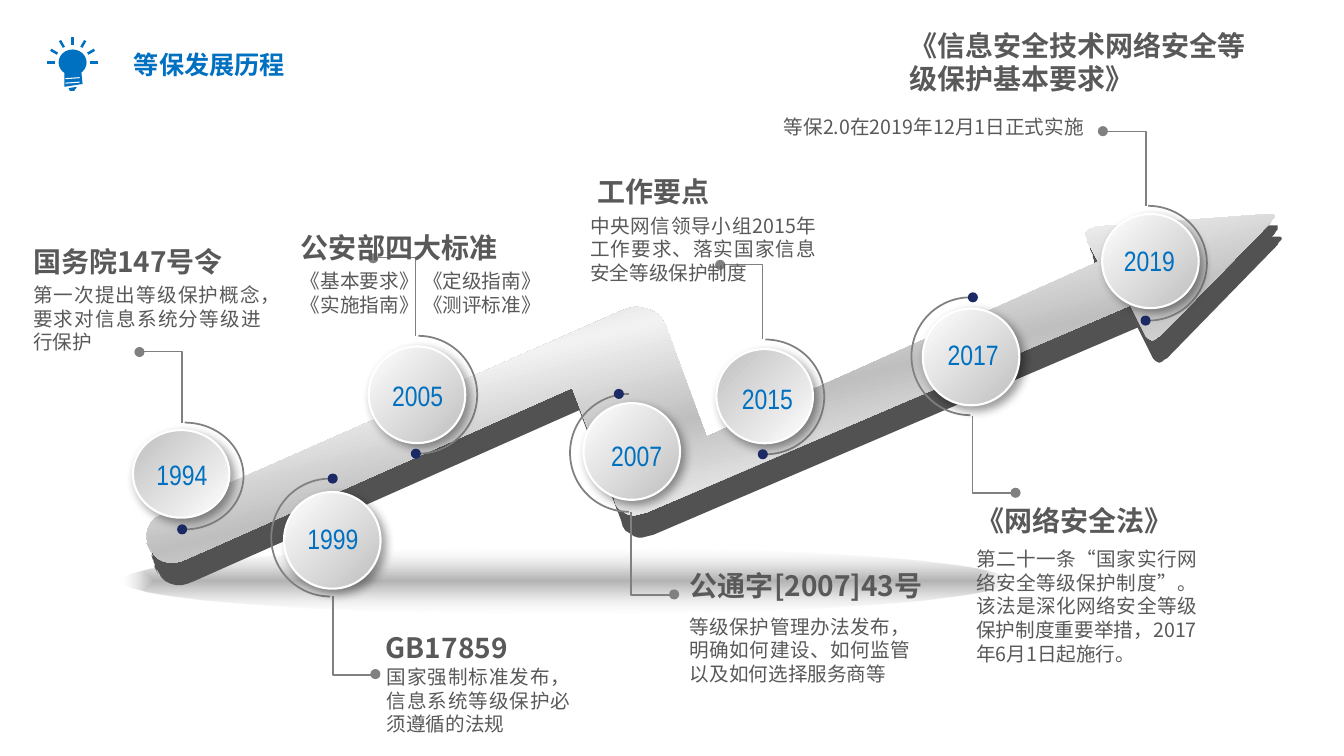
from collections import namedtuple
from math import cos, radians, sin

from pptx import Presentation
from pptx.dml.color import RGBColor
from pptx.enum.shapes import MSO_CONNECTOR, MSO_SHAPE
from pptx.enum.text import PP_ALIGN
from pptx.oxml import parse_xml
from pptx.oxml.ns import qn
from pptx.util import Pt

NS = 'xmlns:a="http://schemas.openxmlformats.org/drawingml/2006/main"'
COLORS = {"blue": "0070C0", "text": "595959", "line": "808080", "navy": "1B2965",
          "side": "525252", "white": "FFFFFF", "silver": "BFBFBF", "pale": "F2F2F2",
          "black": "000000"}
CJK, NARROW = "Noto Sans CJK SC", "Arial Narrow"
RING_W, DISC_RATIO, ELBOW_W, DOT = 84.2, 0.82, 30.5, 7.2

# side "up": ring on the right, stem upwards; "down": ring on the left, stem downwards
Milestone = namedtuple("Milestone", "year side ring disc label ring_h stem dot_dx angle")
MILESTONES = [
    Milestone("2005", "up", (299, 282), (298, 282), (298.5, 283), 84.2, 55.4, 0, 225),
    Milestone("2007", "down", (449.5, 323.5), (451.5, 322.5), (455, 326), 84.2, 59, -9, 225),
    Milestone("1994", "up", (132, 340), (129.5, 338.5), (130, 339), 76.3, 50.4, 0, 45),
    Milestone("2015", "up", (547, 283.5), (546.5, 283), (548.5, 285), 82, 53.3, 0, 45),
    Milestone("2017", "down", (693.5, 254.5), (694, 255), (695.5, 253.5), 84.2, 55.4, 0, 225),
    Milestone("1999", "down", (236, 384), (237.5, 386), (238, 385), 84.2, 55.4, 0, 225),
    Milestone("2019", "up", (820.5, 188), (822.2, 186.5), (821.5, 186.5), 82, 53.3, 0, 225),
]

# heading, its box (x, y, w, h), body paragraphs, their box
CAPTIONS = [
    ("国务院147号令", (16.6, 171.4, 177, 32),
     ["第一次提出等级保护概念，要求对信息系统分等级进行保护"], (16.6, 198.7, 177, 58)),
    ("公安部四大标准", (208, 161.3, 218, 32),
     ["《基本要求》 《定级指南》", "《实施指南》 《测评标准》"], (208, 188.6, 230, 41)),
    ("工作要点", (419.8, 121, 176, 32),
     ["中央网信领导小组2015年工作要求、落实国家信息安全等级保护制度"],
     (414.7, 149, 175.7, 58)),
    ("公通字[2007]43号", (486, 402.5, 191, 32),
     ["等级保护管理办法发布，明确如何建设、如何监管以及如何选择服务商等"],
     (486, 435.6, 171.4, 58)),
    ("《网络安全法》", (690.5, 356.4, 173, 32),
     ["第二十一条“国家实行网络安全等级保护制度”。该法是深化网络安全等级保护制度重要举措，"
      "2017年6月1日起施行。"], (690.5, 387.4, 172, 94)),
    ("GB17859", (268.6, 447, 134, 32),
     ["国家强制标准发布，信息系统等级保护必须遵循的法规"], (269.3, 471.6, 145.4, 75)),
]

# corner x, y and rounding radius
ARROW = [(99, 374, 22), (468, 212, 26), (505, 312, 0), (785, 187, 0), (773, 163, 10),
         (915, 152, 10), (822, 247, 10), (808, 218, 0), (445, 373, 18), (409, 277, 0),
         (114, 408, 22)]


def rgb(name):
    return RGBColor.from_string(COLORS[name])


def paint(sp, fill=None, line=None, width=1.25):
    sp.shadow.inherit = False
    if fill:
        sp.fill.solid()
        sp.fill.fore_color.rgb = rgb(fill)
    else:
        sp.fill.background()
    if line:
        sp.line.color.rgb = rgb(line)
        sp.line.width = Pt(width)
    else:
        sp.line.fill.background()


def set_gradient(sp, stops, angle=None):
    """Fill with (position %, colour, alpha %) stops; radial when no angle is given."""
    gs = "".join(f'<a:gs pos="{pos * 1000}"><a:srgbClr val="{COLORS[c]}">'
                 f'<a:alpha val="{alpha * 1000}"/></a:srgbClr></a:gs>'
                 for pos, c, alpha in stops)
    if angle is None:
        way = ('<a:path path="shape"><a:fillToRect l="50000" t="50000" r="50000" b="50000"/>'
               '</a:path>')
    else:
        way = f'<a:lin ang="{angle * 60000}" scaled="0"/>'
    sp.fill.gradient()
    spPr = sp._element.spPr
    spPr.replace(spPr.find(qn("a:gradFill")),
                 parse_xml(f'<a:gradFill {NS}><a:gsLst>{gs}</a:gsLst>{way}</a:gradFill>'))


def drop_shadow(sp, blur, dist):
    sp._element.spPr.find(qn("a:effectLst")).append(parse_xml(
        f'<a:outerShdw {NS} blurRad="{Pt(blur)}" dist="{Pt(dist)}" dir="2700000">'
        '<a:srgbClr val="000000"><a:alpha val="40000"/></a:srgbClr></a:outerShdw>'))


def centred(s, kind, centre, w, h, **style):
    sp = s.shapes.add_shape(kind, Pt(centre[0] - w / 2), Pt(centre[1] - h / 2), Pt(w), Pt(h))
    paint(sp, **style)
    return sp


def outline(s, points, closed=True, **style):
    fb = s.shapes.build_freeform(*points[0], scale=Pt(1))
    fb.add_line_segments(points[1:], close=closed)
    sp = fb.convert_to_shape()
    paint(sp, **style)
    return sp


def stroke(s, start, end, color, width):
    c = s.shapes.add_connector(MSO_CONNECTOR.STRAIGHT, *map(Pt, (*start, *end)))
    c.line.color.rgb = rgb(color)
    c.line.width = Pt(width)
    c._element.spPr.append(parse_xml(f'<a:effectLst {NS}/>'))


def add_text(s, box, lines, size, color="text", font=CJK, bold=False,
             align=PP_ALIGN.LEFT, wrap=True):
    tf = s.shapes.add_textbox(*map(Pt, box)).text_frame
    tf.word_wrap = wrap
    tf.text = "\n".join(lines)
    for p in tf.paragraphs:
        p.alignment = align
        p.font.size, p.font.bold, p.font.name = Pt(size), bold, font
        p.font.color.rgb = rgb(color)
        latin = p._p.pPr.find(qn("a:defRPr")).find(qn("a:latin"))
        latin.addnext(parse_xml(f'<a:ea {NS} typeface="{font}"/>'))


def round_corners(corners, steps=8):
    """Replace each corner by points on a quadratic curve between its two sides."""
    points = []
    for i, (x, y, radius) in enumerate(corners):
        if not radius:
            points.append((x, y))
            continue
        ends = []
        for nx, ny, _ in (corners[i - 1], corners[(i + 1) % len(corners)]):
            length = ((nx - x) ** 2 + (ny - y) ** 2) ** 0.5
            ends.append((x + (nx - x) * radius / length, y + (ny - y) * radius / length))
        (ax, ay), (bx, by) = ends
        for t in (k / steps for k in range(steps + 1)):
            u = 1 - t
            points.append((u * u * ax + 2 * u * t * x + t * t * bx,
                           u * u * ay + 2 * u * t * y + t * t * by))
    return points


def add_arrow(s):
    ground = centred(s, MSO_SHAPE.OVAL, (403.5, 414.5), 633, 46.8)
    set_gradient(ground, [(0, "black", 30), (29, "black", 18), (100, "silver", 0)])
    top = round_corners(ARROW)
    outline(s, [(x + 5, y + 16) for x, y in top], fill="side")
    outline(s, [(x + 2.5, y + 8) for x, y in top], fill="side")
    face = outline(s, top)
    set_gradient(face, [(pos, ("pale", "silver")[i % 2], 100)
                        for i, pos in enumerate((0, 19, 37, 54, 71, 86, 100))], 76)


def add_bulb(s):
    cx, cy = 51.9, 44.6
    for angle in range(0, 181, 30):
        dx, dy = cos(radians(angle)), -sin(radians(angle))
        stroke(s, (cx + 12.5 * dx, cy + 12.5 * dy), (cx + 18 * dx, cy + 18 * dy), "blue", 1.8)
    centred(s, MSO_SHAPE.OVAL, (cx, cy), 20, 18.5, fill="blue")
    outline(s, [(46.5, 50), (57.5, 50), (59, 60.5), (45.5, 62)], fill="blue")
    outline(s, [(49, 62.6), (54.7, 62.2), (53, 64.8), (50.5, 64.8)], fill="blue")
    for y in (56.2, 59.4):
        stroke(s, (46.8, y), (56.9, y - 0.7), "white", 0.75)


def add_milestone(s, m):
    up = 1 if m.side == "up" else -1
    x, y = m.ring
    stem_x, edge = x - 1.8 * up, y - up * m.ring_h / 2
    end = (stem_x - up * ELBOW_W, edge - up * m.stem)
    arc = centred(s, MSO_SHAPE.ARC, m.ring, RING_W, m.ring_h, line="line")
    # angles of 270 and 90 degrees
    arc.adjustments[0], arc.adjustments[1] = (162, 54)[::up]
    outline(s, [(stem_x, edge), (stem_x, end[1]), end], closed=False, line="line")
    centred(s, MSO_SHAPE.OVAL, end, DOT, DOT, fill="line")
    disc = centred(s, MSO_SHAPE.OVAL, m.disc, 69, m.ring_h * DISC_RATIO,
                   line="white", width=1.5)
    set_gradient(disc, [(0, "silver", 100), (100, "white", 100)], m.angle)
    drop_shadow(disc, 7, 4)
    centred(s, MSO_SHAPE.OVAL, (stem_x + m.dot_dx, y + up * m.ring_h / 2), DOT, DOT, fill="navy")
    lx, ly = m.label
    add_text(s, (lx - 36, ly - 16, 72, 32), [m.year], 20, "blue", NARROW, align=PP_ALIGN.CENTER)


def main():
    prs = Presentation()
    prs.slide_width, prs.slide_height = Pt(960.5), Pt(540)
    s = prs.slides.add_slide(prs.slide_layouts[6])
    add_text(s, (88.6, 31.7, 124, 29), ["等保发展历程"], 18, "blue", bold=True, wrap=False)
    add_bulb(s)
    add_arrow(s)
    for m in MILESTONES:
        add_milestone(s, m)
    for heading, head_box, body, body_box in CAPTIONS:
        add_text(s, head_box, [heading], 20, bold=True)
        add_text(s, body_box, body, 14, align=PP_ALIGN.JUSTIFY)
    add_text(s, (553, 78.5, 234, 41), ["等保2.0在2019年12月1日正式实施"], 14)
    add_text(s, (643, 16.6, 258.5, 55), ["《信息安全技术网络安全等级保护基本要求》"], 20, bold=True)
    prs.save("out.pptx")


if __name__ == "__main__":
    main()
